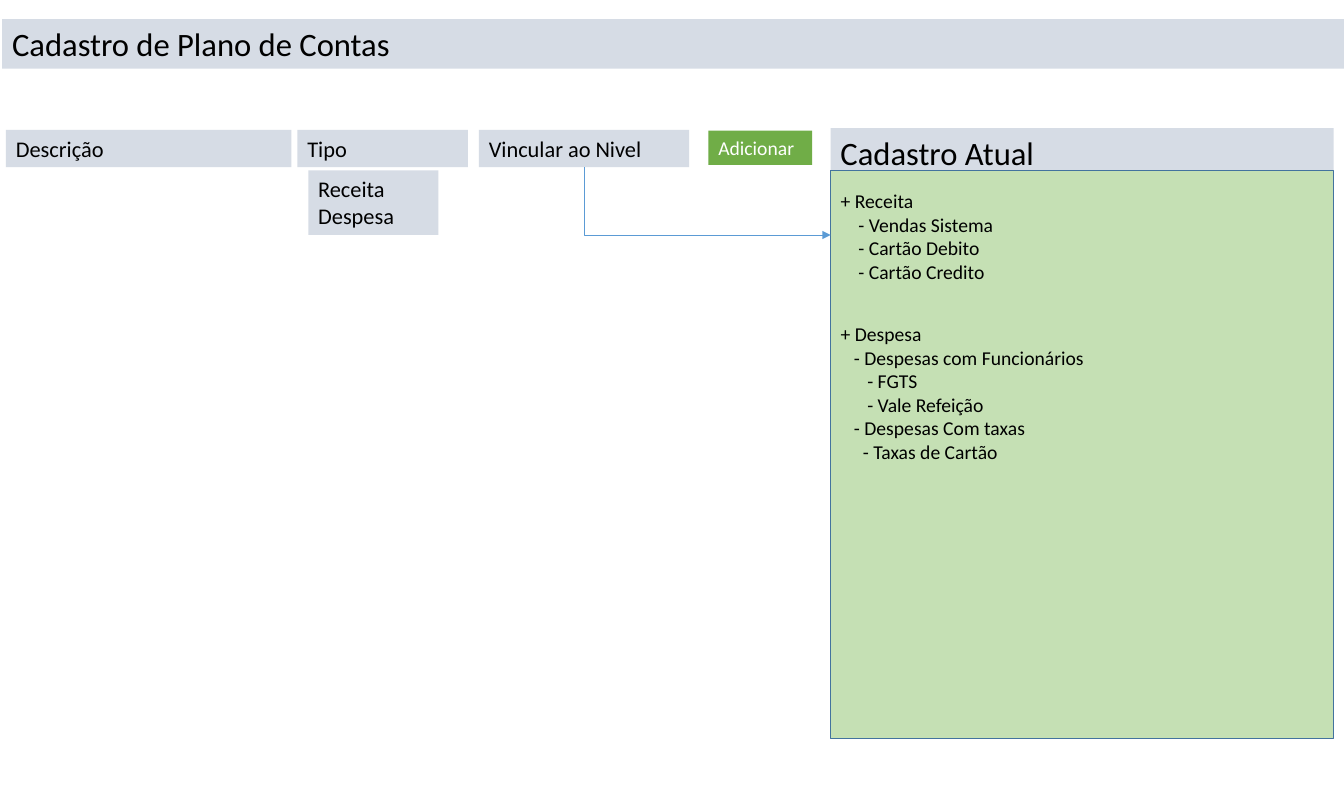
from lxml.etree import SubElement
from pptx import Presentation
from pptx.dml.color import RGBColor
from pptx.enum.shapes import MSO_CONNECTOR as Connector, MSO_SHAPE as Shape
from pptx.enum.text import MSO_ANCHOR as Anchor, MSO_AUTO_SIZE as AutoSize, PP_ALIGN as Align
from pptx.oxml.ns import qn
from pptx.util import Cm, Inches, Pt

WIDTH, HEIGHT = Pt(960), Cm(20)

BLACK = RGBColor(0x00, 0x00, 0x00)
WHITE = RGBColor(0xFF, 0xFF, 0xFF)
GREY = RGBColor(0xD6, 0xDC, 0xE5)
GREEN = RGBColor(0x70, 0xAD, 0x47)
LIGHT_GREEN = RGBColor(0xC5, 0xE0, 0xB4)
DARK_BLUE = RGBColor(0x43, 0x73, 0x9E)
BLUE = RGBColor(0x5B, 0x9B, 0xD5)

HEADING, FIELD, ENTRY = Pt(23.3), Pt(16), Pt(14)
INDENT_STEP = Inches(0.044)

# Positions are percentages of the slide's width and height.
FIELD_TOP, FIELD_HEIGHT = 16.35, 4.7
HEADING_HEIGHT = 6.23
PANEL_LEFT, PANEL_TOP, PANEL_WIDTH = 61.8, 21.47, 37.43
LINK_LEFT, LINK_WIDTH = 35.63, 15.65
ARROW_BOTTOM = 29.6

FIELDS = [("Descrição", 0.45, 21.23), ("Tipo", 22.13, 12.68),
          ("Vincular ao Nivel", LINK_LEFT, LINK_WIDTH)]
# Each entry has its indent in steps and its text.
INCOME = [(0, "+ Receita"), (4, "- Vendas Sistema"), (4, "- Cartão Debito"),
          (4, "- Cartão Credito")]
EXPENSES = [(0, "+ Despesa"), (3, "- Despesas com Funcionários"), (6, "- FGTS"),
            (6, "- Vale Refeição"), (3, "- Despesas Com taxas"),
            (5, "- Taxas de Cartão")]


def across(share):
    return round(WIDTH * share / 100)


def down(share):
    return round(HEIGHT * share / 100)


def area(left, top, width, height):
    return across(left), down(top), across(width), down(height)


def set_values(target, values):
    for name, value in values.items():
        setattr(target, name, value)


def place(shape, bounds):
    set_values(shape, dict(zip(("left", "top", "width", "height"), area(*bounds))))


def format_text(shape, size, color=BLACK, wrap=True, fit=AutoSize.SHAPE_TO_FIT_TEXT):
    set_values(shape.text_frame, {"word_wrap": wrap, "auto_size": fit,
                                  "vertical_anchor": Anchor.TOP})
    for paragraph in shape.text_frame.paragraphs:
        set_values(paragraph, {"alignment": Align.LEFT, "space_before": Pt(0)})
        set_values(paragraph.font, {"name": "Calibri", "size": size})
        paragraph.font.color.rgb = color


def fill_shape(shape, color):
    shape.fill.solid()
    shape.fill.fore_color.rgb = color


def add_box(slide, bounds, fill, text="", size=FIELD, color=BLACK):
    box = slide.shapes.add_shape(Shape.RECTANGLE, *area(*bounds))
    box.shadow.inherit = False
    fill_shape(box, fill)
    box.line.fill.background()
    if text:
        box.text_frame.text = text
        format_text(box, size, color)
    return box


def set_title(slide, text, bounds):
    title = slide.shapes.title
    place(title, bounds)
    fill_shape(title, GREY)
    title.text_frame.text = text
    format_text(title, HEADING, fit=AutoSize.NONE)


def fill_list(slide, placeholder, entries, bounds):
    """Write indented entries and bring the placeholder to the front."""
    place(placeholder, bounds)
    placeholder.text_frame.text = "\n".join(text for _, text in entries)
    for paragraph, (steps, _) in zip(placeholder.text_frame.paragraphs, entries):
        properties = paragraph._p.get_or_add_pPr()
        properties.set("marL", str(steps * INDENT_STEP))
        properties.set("indent", "0")
        SubElement(properties, qn("a:buNone"))
    format_text(placeholder, ENTRY, wrap=False)
    slide.shapes._spTree.append(placeholder._element)


def add_corner_arrow(slide, start, end):
    """Draw an arrow that goes down from start, then right to end."""
    (x1, y1), (x2, y2) = start, end
    center_x, center_y = (x1 + x2) // 2, (y1 + y2) // 2
    half_width, half_height = (y2 - y1) // 2, (x2 - x1) // 2
    # The one-bend preset starts sideways, so it is mirrored and turned.
    arrow = slide.shapes.add_connector(
        Connector.ELBOW, center_x + half_width, center_y - half_height,
        center_x - half_width, center_y + half_height)
    properties = arrow._element.spPr
    properties.find(qn("a:xfrm")).set("rot", str(270 * 60000))
    properties.find(qn("a:prstGeom")).set("prst", "bentConnector2")
    arrow.line.color.rgb = BLUE
    arrow.line.width = Pt(0.5)
    SubElement(arrow.line._get_or_add_ln(), qn("a:tailEnd"), type="triangle")
    SubElement(properties, qn("a:effectLst"))


def main():
    presentation = Presentation()
    presentation.slide_width = WIDTH
    presentation.slide_height = HEIGHT
    slide = presentation.slides.add_slide(presentation.slide_layouts.get_by_name("Two Content"))
    _, income, expenses = slide.placeholders

    set_title(slide, "Cadastro de Plano de Contas", (0.15, 2.41, 99.9, HEADING_HEIGHT))
    for text, left, width in FIELDS:
        add_box(slide, (left, FIELD_TOP, width, FIELD_HEIGHT), GREY, text)
    add_box(slide, (22.94, PANEL_TOP, 9.68, 8.13), GREY, "Receita\vDespesa")
    add_box(slide, (52.71, 16.45, 7.73, 4.32), GREEN, "Adicionar", ENTRY, WHITE)

    add_box(slide, (PANEL_LEFT, 16.14, PANEL_WIDTH, HEADING_HEIGHT), GREY,
            "Cadastro Atual", HEADING)
    panel = add_box(slide, (PANEL_LEFT, PANEL_TOP, PANEL_WIDTH, 71.54), LIGHT_GREEN)
    panel.line.color.rgb = DARK_BLUE
    panel.line.width = Pt(1)
    fill_list(slide, income, INCOME, (PANEL_LEFT, 23.2, 12.98, 13.21))
    fill_list(slide, expenses, EXPENSES, (PANEL_LEFT, 39.9, 19.73, 19.19))

    add_corner_arrow(slide,
                     (across(LINK_LEFT + LINK_WIDTH / 2), down(FIELD_TOP + FIELD_HEIGHT)),
                     (across(PANEL_LEFT), down(ARROW_BOTTOM)))
    presentation.save("out.pptx")


if __name__ == "__main__":
    main()
